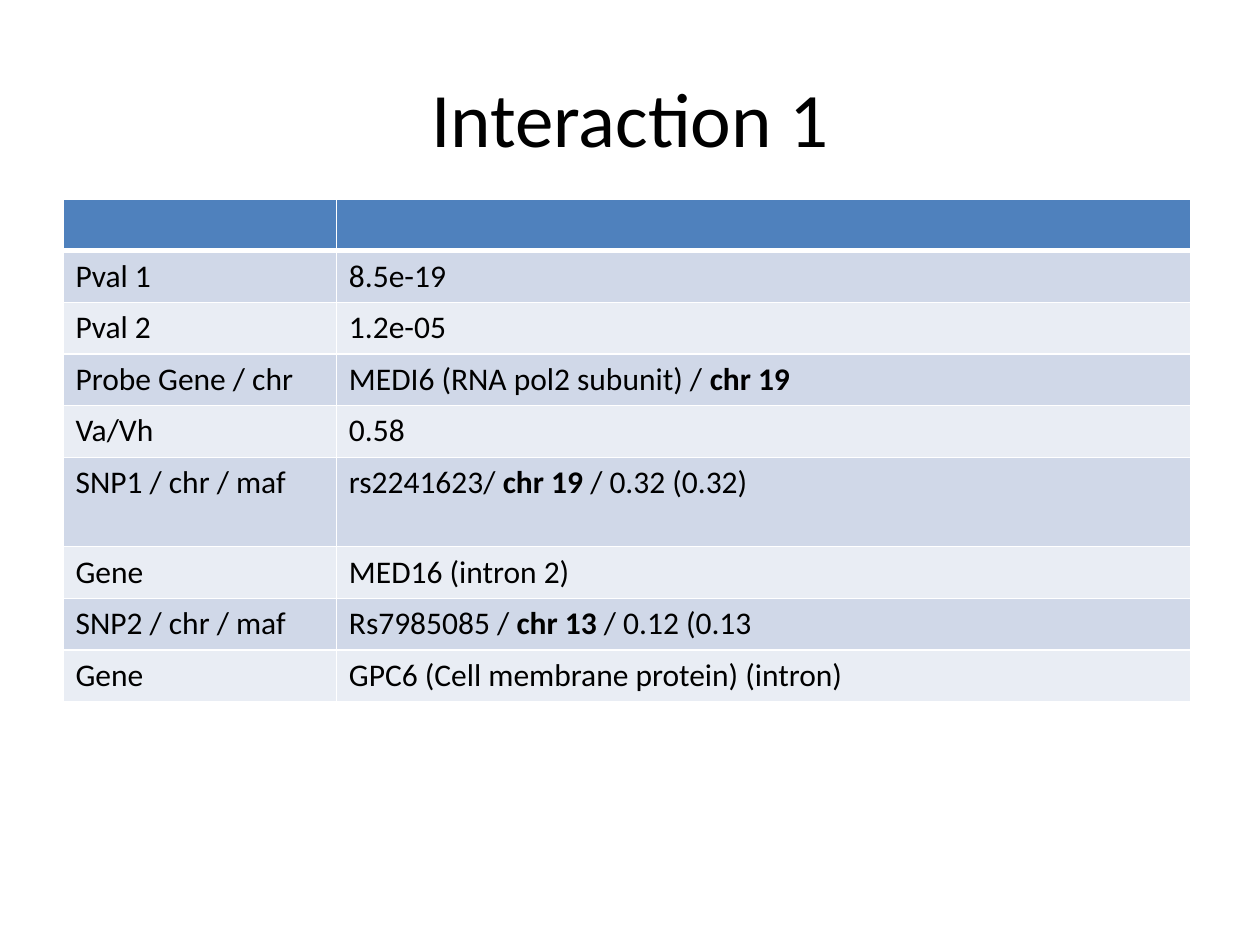
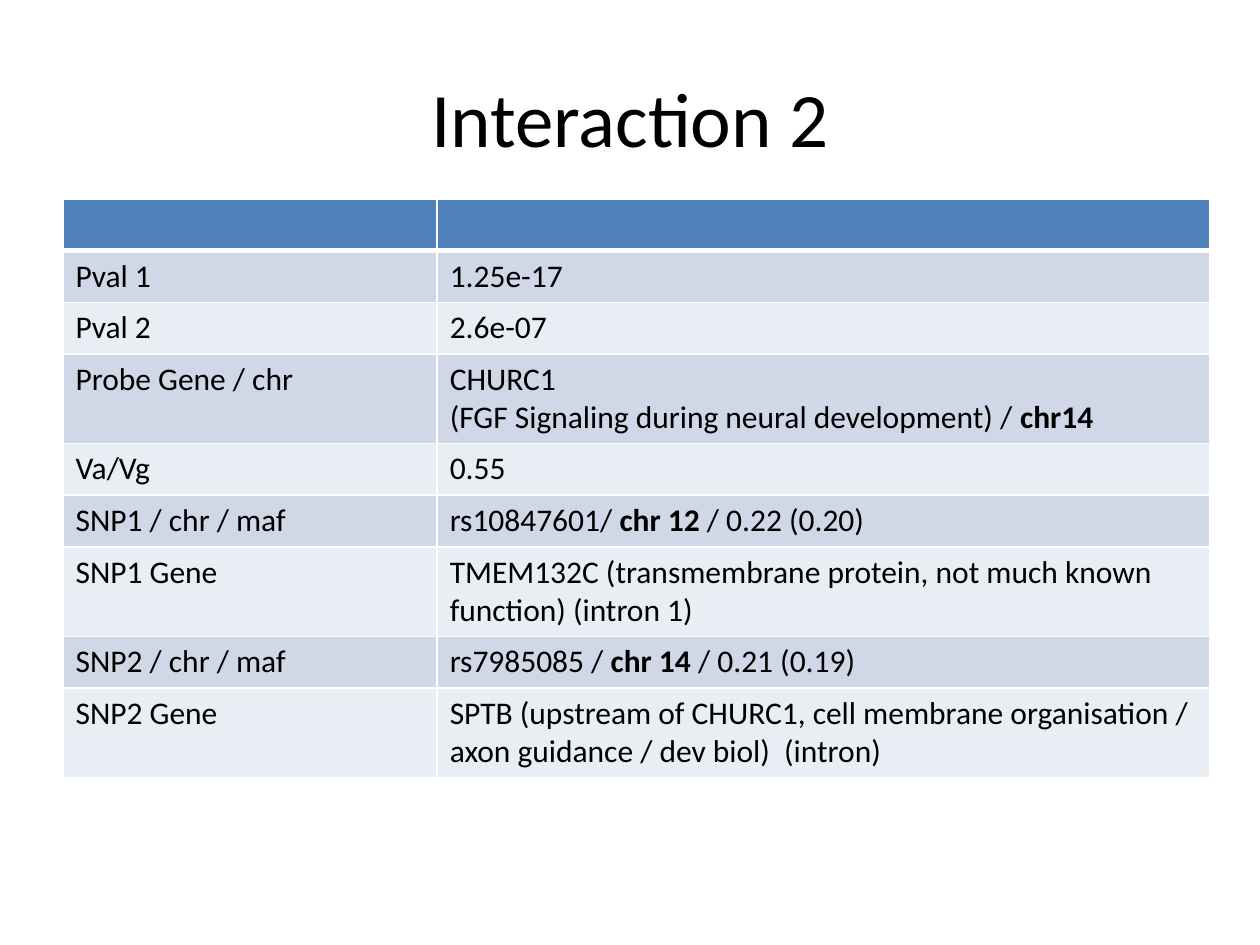
from dataclasses import dataclass

from lxml import etree
from pptx import Presentation
from pptx.dml.color import RGBColor
from pptx.enum import text as txt
from pptx.oxml import ns
from pptx.util import Inches, Pt

# Content: "*" switches bold on and off, a line break starts a new paragraph
INTERACTIONS = [
    {
        "title": "Interaction 1",
        "columns": (2.17, 6.78),
        "tall_rows": {"SNP1 / chr / maf"},
        "facts": [
            ("Pval 1", "8.5e-19"),
            ("Pval 2", "1.2e-05"),
            ("Probe Gene / chr", "MEDI6 (RNA pol2 subunit) / *chr 19*"),
            ("Va/Vh", "0.58"),
            ("SNP1 / chr / maf", "rs2241623/ *chr 19 */ 0.32 (0.32)"),
            ("Gene", "MED16 (intron 2)"),
            ("SNP2 / chr / maf", "Rs7985085 / *chr 13* / 0.12 (0.13"),
            ("Gene", "GPC6 (Cell membrane protein) (intron)"),
        ],
    },
    {
        "title": "Interaction 2",
        "columns": (2.97, 6.13),
        "tall_rows": {"Probe Gene / chr", "SNP1 Gene", "SNP2 Gene"},
        "facts": [
            ("Pval 1", "1.25e-17"),
            ("Pval 2", "2.6e-07"),
            ("Probe Gene / chr",
             "CHURC1\n(FGF Signaling during neural development) / *chr14*"),
            ("Va/Vg", "0.55"),
            ("SNP1 / chr / maf", "rs10847601/ *chr 12 */ 0.22 (0.20)"),
            ("SNP1 Gene", "TMEM132C (transmembrane protein, not much known "
                          "function) (intron 1)"),
            ("SNP2 / chr / maf", "rs7985085 / *chr 14* / 0.21 (0.19)"),
            ("SNP2 Gene", "SPTB (upstream of CHURC1, cell membrane organisation / "
                          "axon guidance / dev biol)  (intron)"),
        ],
    },
]


@dataclass(frozen=True)
class Theme:
    font: str = "Calibri"
    ink: str = "000000"
    header: str = "4F81BD"
    bands: tuple = ("D0D8E8", "E9EDF4")
    rule: str = "FFFFFF"
    title_size: int = 44
    cell_size: int = 18
    thin: int = 1
    thick: int = 3


THEME = Theme()

# Layout, in inches
TITLE_BOX = (0.5, 0.3, 9, 1.25)
TABLE_LEFT, TABLE_TOP = 0.5, 1.58
ROW_HEIGHT, TALL_ROW_HEIGHT = 0.41, 0.71


def write(frame, content, size, align=txt.PP_ALIGN.LEFT):
    """Fill a text frame, with the parts between asterisks in bold."""
    for i, line in enumerate(content.split("\n")):
        paragraph = frame.add_paragraph() if i else frame.paragraphs[0]
        paragraph.alignment = align
        for j, part in enumerate(line.split("*")):
            if not part:
                continue
            run = paragraph.add_run()
            run.text = part
            run.font.name = THEME.font
            run.font.size = Pt(size)
            run.font.bold = j % 2 == 1
            run.font.color.rgb = RGBColor.from_string(THEME.ink)


def paint(cell, color, top, bottom):
    """Rule the four edges of a cell, then fill it."""
    properties = cell._tc.get_or_add_tcPr()
    edges = {"lnL": THEME.thin, "lnR": THEME.thin, "lnT": top, "lnB": bottom}
    for edge, width in edges.items():
        line = etree.SubElement(properties, ns.qn(f"a:{edge}"), w=str(Pt(width)))
        solid = etree.SubElement(line, ns.qn("a:solidFill"))
        etree.SubElement(solid, ns.qn("a:srgbClr"), val=THEME.rule)
    cell.fill.solid()
    cell.fill.fore_color.rgb = RGBColor.from_string(color)


def add_title(slide, content):
    title = slide.shapes.title
    title.left, title.top, title.width, title.height = map(Inches, TITLE_BOX)
    title.text_frame.vertical_anchor = txt.MSO_ANCHOR.MIDDLE
    write(title.text_frame, content, THEME.title_size, txt.PP_ALIGN.CENTER)


def add_facts(slide, facts, columns, tall_rows):
    rows = [("", ""), *facts]
    heights = [TALL_ROW_HEIGHT if label in tall_rows else ROW_HEIGHT
               for label, _ in rows]
    table = slide.shapes.add_table(
        len(rows), len(columns), Inches(TABLE_LEFT), Inches(TABLE_TOP),
        Inches(sum(columns)), Inches(sum(heights))).table
    for column, width in zip(table.columns, columns):
        column.width = Inches(width)
    for r, row in enumerate(rows):
        table.rows[r].height = Inches(heights[r])
        color = THEME.bands[(r - 1) % 2] if r else THEME.header
        top = THEME.thick if r == 1 else THEME.thin
        bottom = THEME.thin if r else THEME.thick
        for c, content in enumerate(row):
            cell = table.cell(r, c)
            paint(cell, color, top, bottom)
            write(cell.text_frame, content, THEME.cell_size)


def main():
    deck = Presentation()
    deck.slide_width, deck.slide_height = Inches(10), Inches(7.5)
    title_only = deck.slide_layouts.get_by_name("Title Only")
    for interaction in INTERACTIONS:
        slide = deck.slides.add_slide(title_only)
        add_title(slide, interaction["title"])
        add_facts(slide, interaction["facts"], interaction["columns"],
                  interaction["tall_rows"])
    deck.save("out.pptx")


if __name__ == "__main__":
    main()
